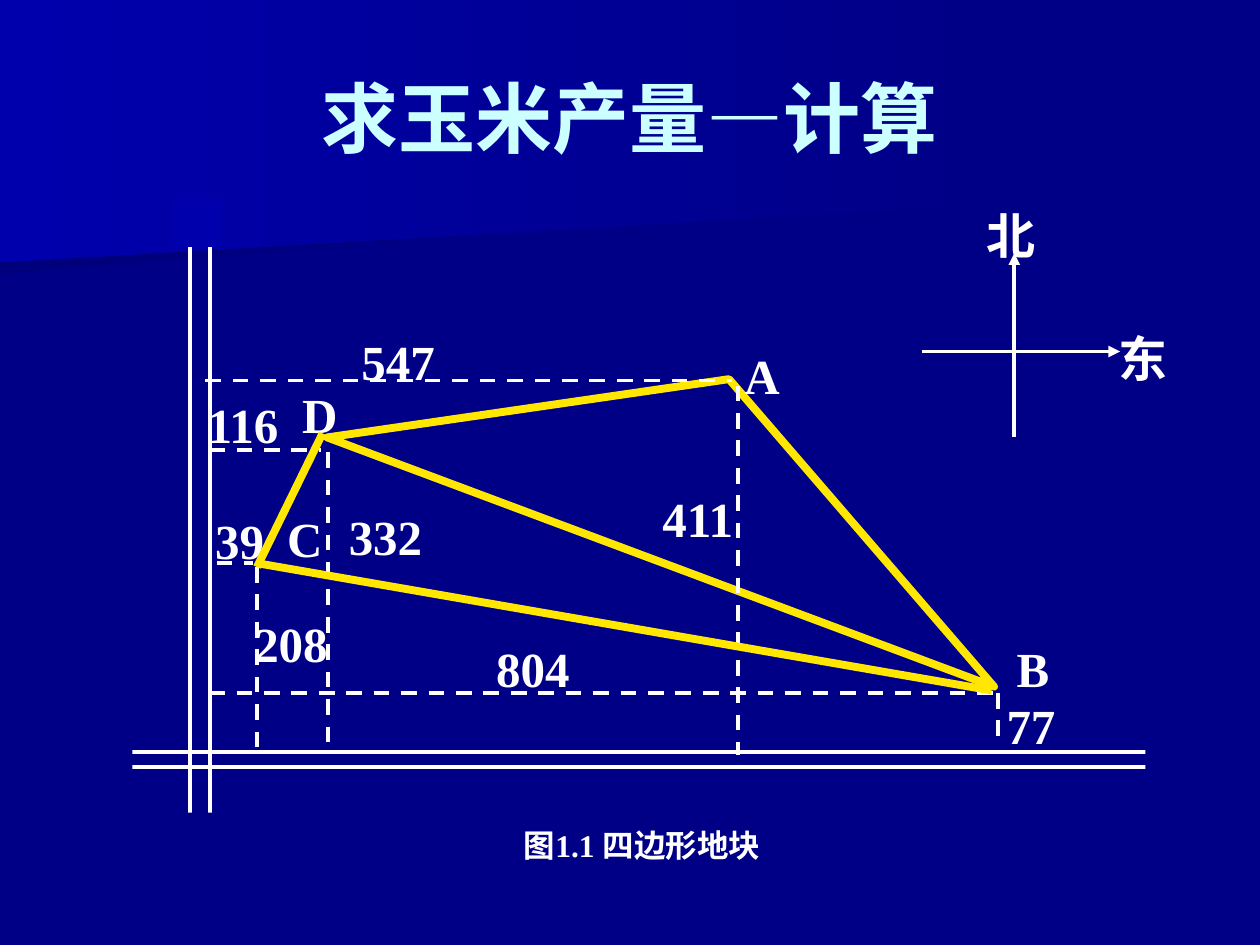
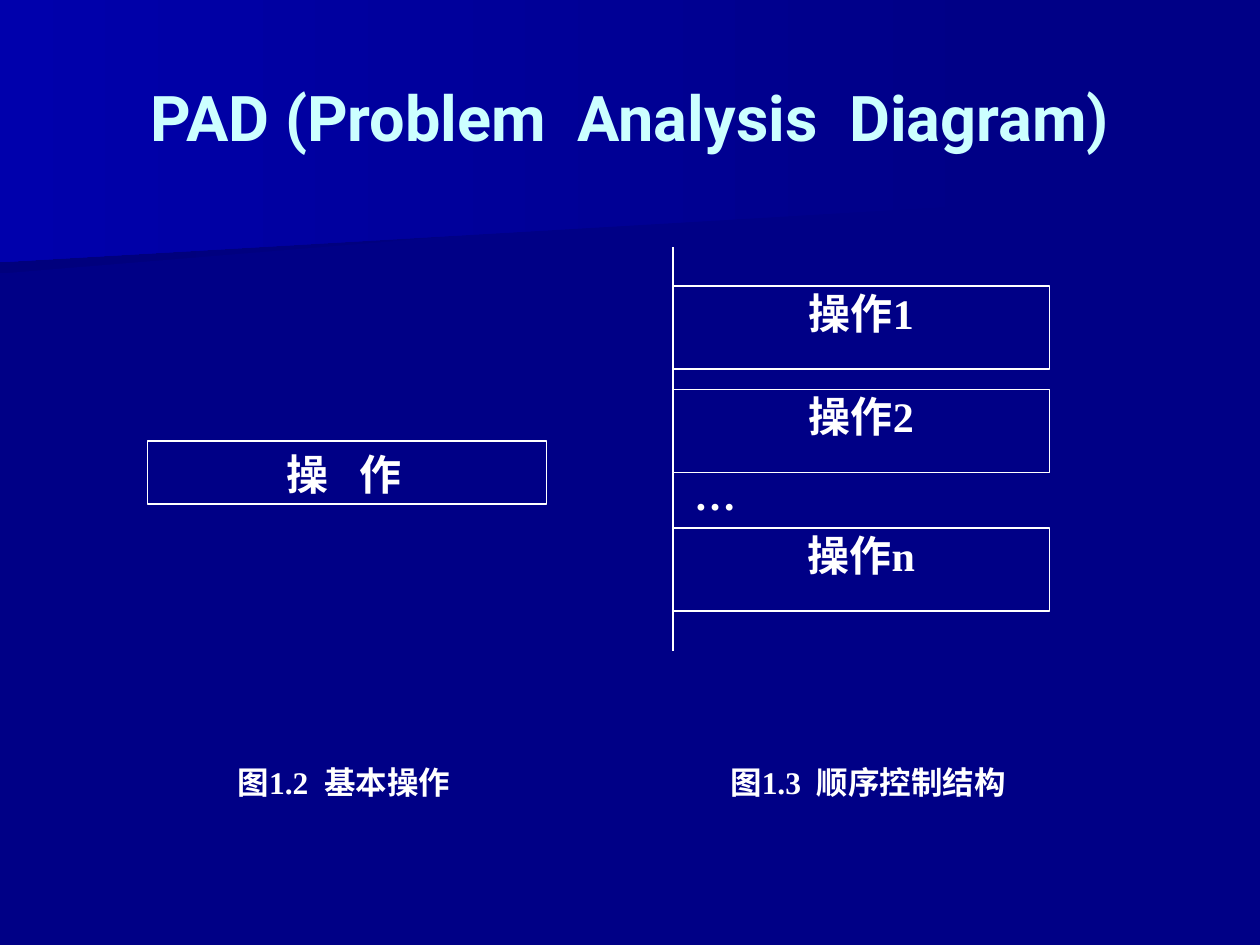
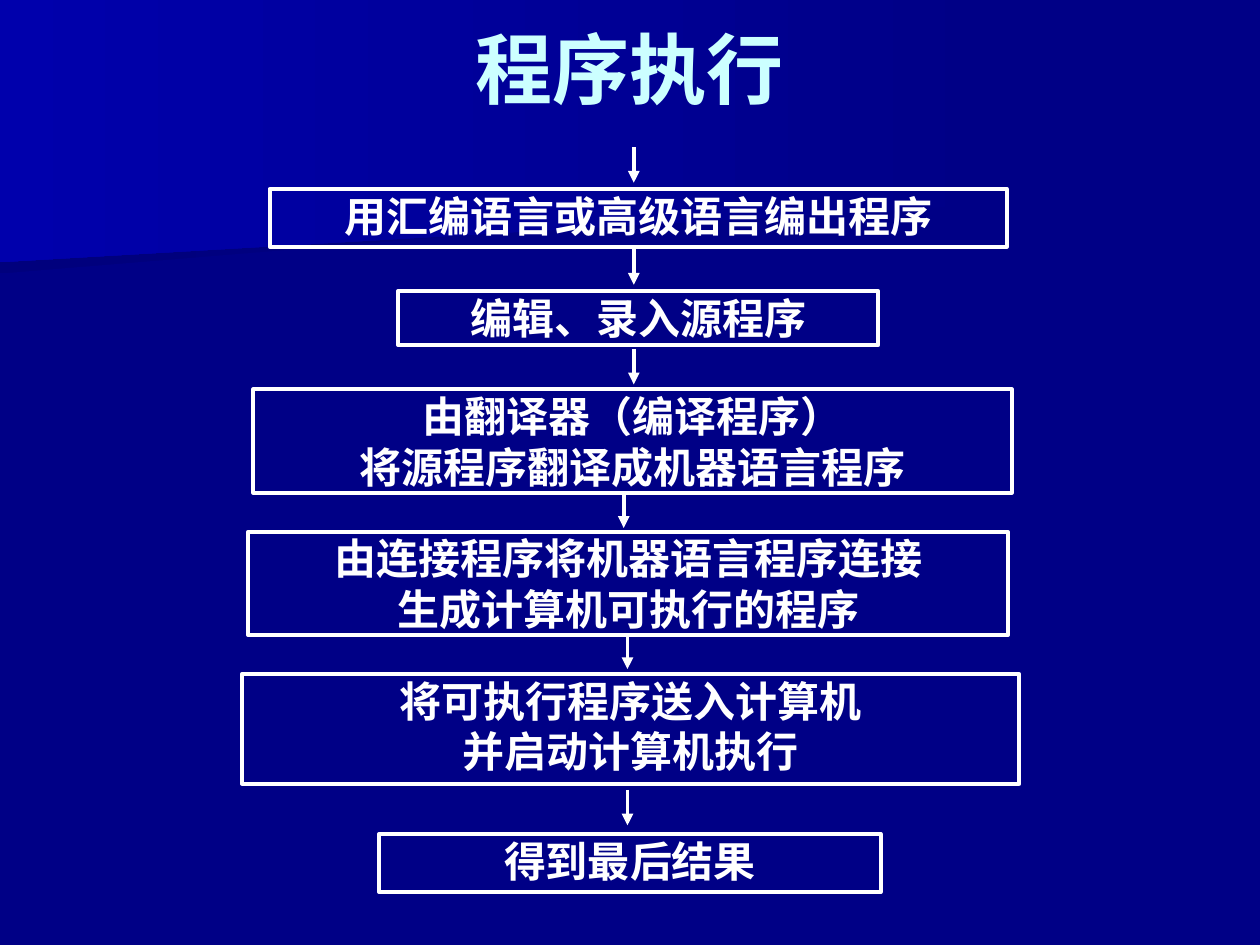
"""Build three slides on a field survey, PAD diagrams and program execution."""
from lxml.etree import SubElement
from pptx import Presentation
from pptx.dml.color import RGBColor
from pptx.enum.dml import MSO_LINE_DASH_STYLE as DASH
from pptx.enum.shapes import MSO_CONNECTOR, MSO_SHAPE
from pptx.enum.text import MSO_ANCHOR, MSO_AUTO_SIZE, PP_ALIGN
from pptx.oxml.ns import qn
from pptx.util import Inches, Pt

NAVY = RGBColor(0x00, 0x00, 0x86)
DARK_NAVY = RGBColor(0x00, 0x00, 0x7D)
BRIGHT_BLUE = RGBColor(0x00, 0x00, 0xAC)
WHITE = RGBColor(0xFF, 0xFF, 0xFF)
YELLOW = RGBColor(0xFF, 0xE7, 0x01)
PALE_CYAN = RGBColor(0xCC, 0xFF, 0xFF)
TITLE_FONT = "Roboto"
BODY_FONT = "Times New Roman"
TITLE_ONLY = 5
TIGHT = (0.01, 0.01, 0.01, 0.01)
CAPTION = (0.01, 0.06, 0.06, 0.01)
NORMAL = (0.1, 0.05, 0.1, 0.05)
STROKE = 2.25


def add_run(paragraph, text, size, font=BODY_FONT, color=WHITE):
    """Add one bold run to a paragraph."""
    run = paragraph.add_run()
    run.text = text
    run.font.size = Pt(size)
    run.font.name = font
    run.font.bold = True
    run.font.color.rgb = color
    return run


def add_spaced_runs(paragraph, parts, gap, size, font=BODY_FONT, color=WHITE):
    """Add text parts separated by single spaces widened by gap points."""
    for index, part in enumerate(parts):
        if index:
            space = add_run(paragraph, " ", size, font, color)
            space._r.get_or_add_rPr().set("spc", str(int(gap * 100)))
        add_run(paragraph, part, size, font, color)


def write_lines(shape, lines, size, insets, align=PP_ALIGN.CENTER, gap=0):
    """Write paragraphs, each a tuple of parts, at the top of a shape."""
    frame = shape.text_frame
    frame.word_wrap = True
    frame.vertical_anchor = MSO_ANCHOR.TOP
    (frame.margin_left, frame.margin_top,
     frame.margin_right, frame.margin_bottom) = map(Inches, insets)
    for index, parts in enumerate(lines):
        paragraph = frame.add_paragraph() if index else frame.paragraphs[0]
        paragraph.alignment = align
        add_spaced_runs(paragraph, parts, gap, size)


def add_text(slide, box, parts, size, insets=NORMAL, align=PP_ALIGN.LEFT, gap=0):
    """Add a text box holding one paragraph."""
    shape = slide.shapes.add_textbox(*map(Inches, box))
    write_lines(shape, [parts], size, insets, align, gap)


def add_box(slide, box, kind=MSO_SHAPE.RECTANGLE, fill=None, line=None, width=STROKE):
    """Add a flat preset shape with optional fill and outline."""
    shape = slide.shapes.add_shape(kind, *map(Inches, box))
    shape.shadow.inherit = False
    if fill is None:
        shape.fill.background()
    else:
        shape.fill.solid()
        shape.fill.fore_color.rgb = fill
    if line is None:
        shape.line.fill.background()
    else:
        shape.line.color.rgb = line
        shape.line.width = Pt(width)
    return shape


def add_line(slide, start, end, color=WHITE, width=STROKE, dashed=False, arrow=False):
    """Add a straight connector, dashed or with an arrowhead on request."""
    connector = slide.shapes.add_connector(
        MSO_CONNECTOR.STRAIGHT, *map(Inches, (*start, *end)))
    connector.line.color.rgb = color
    connector.line.width = Pt(width)
    if dashed:
        connector.line.dash_style = DASH.DASH
    properties = connector._element.spPr
    if arrow:
        SubElement(properties.find(qn("a:ln")), qn("a:tailEnd"), type="triangle")
    SubElement(properties, qn("a:effectLst"))


def add_title(slide, parts, size=44, top=0.3, height=1.25, gap=0):
    """Place and fill the title placeholder."""
    title = slide.shapes.title
    title.left, title.top = Inches(0.5), Inches(top)
    title.width, title.height = Inches(9), Inches(height)
    frame = title.text_frame
    frame.auto_size = MSO_AUTO_SIZE.NONE
    frame.vertical_anchor = MSO_ANCHOR.MIDDLE
    paragraph = frame.paragraphs[0]
    paragraph.alignment = PP_ALIGN.CENTER
    add_spaced_runs(paragraph, parts, gap, size, TITLE_FONT, PALE_CYAN)


def add_band(slide, points, end_color):
    """Draw one gradient band and move it to the slide master."""
    start, *others = [(Inches(x), Inches(y)) for x, y in points]
    builder = slide.shapes.build_freeform(*start, scale=1.0)
    builder.add_line_segments(others, close=True)
    band = builder.convert_to_shape()
    band.shadow.inherit = False
    band.line.fill.background()
    band.fill.gradient()
    band.fill.gradient_angle = 180
    for stop, color in zip(band.fill.gradient_stops, (NAVY, end_color)):
        stop.color.rgb = color
    slide.slide_layout.slide_master.shapes.element.append(band._element)


def style_master(slide):
    """Give the master its background and its two bands."""
    background = slide.slide_layout.slide_master.background.fill
    background.solid()
    background.fore_color.rgb = NAVY
    add_band(slide, [(7.78, 1.53), (0, 2.17), (0, 1.01), (7.79, 1.01)], DARK_NAVY)
    add_band(slide, [(7.92, 1.62), (0, 2.08), (0, 0), (7.92, 0)], BRIGHT_BLUE)


def build_field_slide(slide):
    """Draw the surveyed quadrilateral between two roads."""
    add_title(slide, ["求玉米产量—计算"])
    for road in ((1.51, 1.66, 0.16, 4.92), (0.8, 5.97, 8.39, 0.12)):
        add_box(slide, road, line=WHITE)
    triangle = add_box(slide, (2.69, 2.96, 5.65, 1.55), MSO_SHAPE.ISOSCELES_TRIANGLE,
                       NAVY, YELLOW, 4.5)
    triangle.rotation = 20.5

    for x, top, bottom in ((2.04, 4.5, 5.98), (7.92, 5.5, 5.92),
                           (5.86, 3.06, 5.99), (2.6, 3.59, 5.95)):
        add_line(slide, (x, top), (x, bottom), dashed=True)
    for y, left, right in ((4.47, 1.72, 2.01), (5.5, 1.66, 7.92),
                           (3.57, 1.66, 2.55), (3.02, 1.63, 5.81)):
        add_line(slide, (left, y), (right, y), dashed=True)

    labels = [("C", 2.18, 3.99), ("208", 1.92, 4.82), ("39", 1.61, 4),
              ("116", 1.55, 3.08), ("77", 7.89, 5.47), ("A", 5.81, 2.69),
              ("B", 7.97, 5.02), ("D", 2.3, 3), ("547", 2.77, 2.58),
              ("411", 5.16, 3.83), ("332", 2.67, 3.97), ("804", 3.84, 5.02),
              ("北", 7.73, 1.58), ("东", 8.78, 2.56)]
    for label, left, top in labels:
        add_text(slide, (left, top, 1, 0.45), [label], 28)
    add_text(slide, (3.44, 6.51, 3.31, 0.58), ["图1.1", "四边形地块"], 18,
             align=PP_ALIGN.CENTER)

    add_line(slide, (7.32, 2.79), (8.89, 2.79), arrow=True)
    add_line(slide, (8.05, 3.47), (8.05, 2.01), arrow=True)
    add_line(slide, (2.56, 3.44), (2.04, 4.5), YELLOW, 4.5)
    add_line(slide, (2.04, 4.47), (7.87, 5.48), YELLOW, 4.5)
    for left, top, color in ((9.09, 5.88, NAVY), (0.67, 5.88, NAVY),
                             (1.38, 6.45, NAVY), (1.38, 1.58, BRIGHT_BLUE)):
        add_box(slide, (left, top, 0.38, 0.38), fill=color)


def build_pad_slide(slide):
    """Draw the basic operation and the sequence structure."""
    add_title(slide, ["PAD (Problem", "Analysis", "Diagram)"], 36, gap=9)
    operation = add_box(slide, (1.17, 3.5, 3.17, 0.5), line=WHITE, width=0.75)
    write_lines(operation, [("操", "作")], 24, CAPTION, gap=12)
    add_line(slide, (5.34, 1.96), (5.34, 5.17), width=1)
    for name, top in (("1", 2.27), ("2", 3.09), ("n", 4.19)):
        step = add_box(slide, (5.34, top, 2.99, 0.66), line=WHITE, width=0.75)
        write_lines(step, [("操作" + name,)], 24, TIGHT)
    add_text(slide, (5.5, 3.71, 3.33, 0.62), ["…"], 24, TIGHT)
    for left, parts in ((1.17, ("图1.2", "基本操作")), (5.33, ("图1.3", "顺序控制结构"))):
        add_text(slide, (left, 6, 3.17, 0.5), parts, 18, CAPTION, PP_ALIGN.CENTER, 4.5)


def build_execution_slide(slide):
    """Draw the flow from source code to the final result."""
    add_title(slide, ["程序执行"], top=0, height=1.08)
    steps = [((2.14, 1.5, 5.85, 0.46), ["用汇编语言或高级语言编出程序"]),
             ((3.16, 2.31, 3.81, 0.43), ["编辑、录入源程序"]),
             ((2.01, 3.09, 6.02, 0.82), ["由翻译器（编译程序）", "将源程序翻译成机器语言程序"]),
             ((1.97, 4.22, 6.03, 0.82), ["由连接程序将机器语言程序连接", "生成计算机可执行的程序"]),
             ((1.92, 5.35, 6.17, 0.87), ["将可执行程序送入计算机", "并启动计算机执行"]),
             ((3.01, 6.62, 3.98, 0.46), ["得到最后结果"])]
    for box, lines in steps:
        step = add_box(slide, box, line=WHITE)
        write_lines(step, [(line,) for line in lines], 24, TIGHT)
    for x, top in ((5.03, 1.17), (5.03, 1.98), (5.03, 2.77),
                   (4.95, 3.91), (4.98, 5.03), (4.98, 6.27)):
        add_line(slide, (x, top), (x, top + 0.28), arrow=True)


def main():
    """Create the presentation and save it."""
    presentation = Presentation()
    presentation.slide_width, presentation.slide_height = Inches(10), Inches(7.5)
    layout = presentation.slide_layouts[TITLE_ONLY]
    builders = (build_field_slide, build_pad_slide, build_execution_slide)
    for index, build in enumerate(builders):
        slide = presentation.slides.add_slide(layout)
        if index == 0:
            style_master(slide)
        build(slide)
    presentation.save("out.pptx")


if __name__ == "__main__":
    main()
